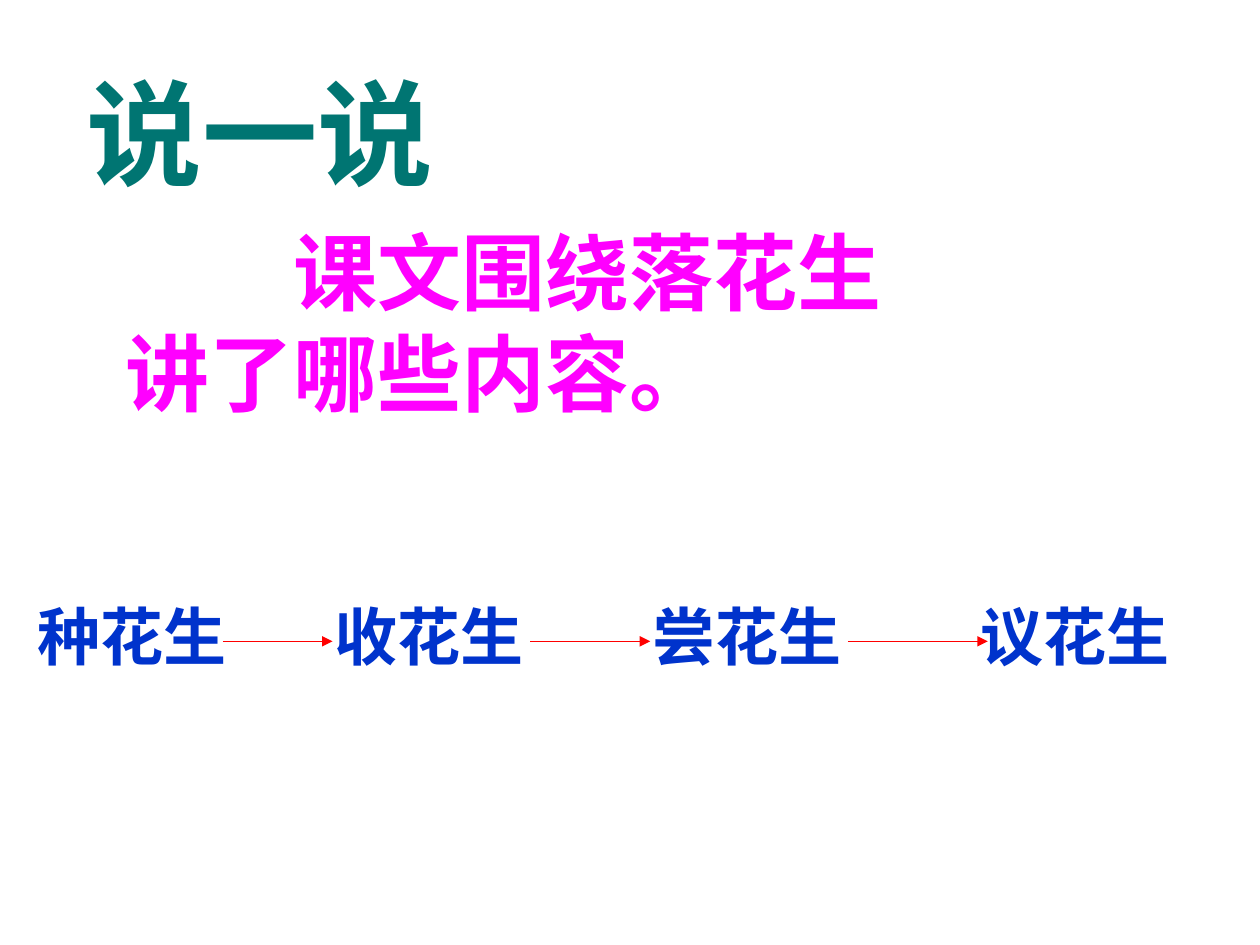
import pptx
import pptx.dml.color
import pptx.enum.shapes
import pptx.enum.text
import pptx.oxml.ns
import pptx.util
from lxml import etree


def color(value):
    return pptx.dml.color.RGBColor.from_string(value)


class Deck:
    """Style and current slide; lengths are in grid units of a tenth of an inch."""
    COLS, ROWS = 100, 75
    FONT = "Arial"
    TEAL, PINK, BLUE, RED = "007572", "FF00FF", "0033CC", "FF0000"

    def __init__(self, prs):
        self.unit = prs.slide_width / self.COLS
        self.s = prs.slides.add_slide(prs.slide_layouts[6])

    def grid(self, *cells):
        return [round(c * self.unit) for c in cells]

    def text(self, left, top, width, height, words, size, fill, indent=0):
        sp = self.s.shapes.add_textbox(*self.grid(left, top, width, height))
        tf = sp.text_frame
        tf.word_wrap = True
        tf.auto_size = pptx.enum.text.MSO_AUTO_SIZE.SHAPE_TO_FIT_TEXT
        p = tf.paragraphs[0]
        if indent:  # first-line indent, counted in characters
            p._p.get_or_add_pPr().set("indent", str(pptx.util.Pt(indent * size)))
        r = p.add_run()
        r.text = words
        r.font.name = self.FONT
        r.font.size = pptx.util.Pt(size)
        r.font.bold = True
        r.font.color.rgb = color(fill)
        etree.SubElement(r._r.get_or_add_rPr(), pptx.oxml.ns.qn("a:ea"),
                         typeface=self.FONT)

    def arrow(self, start, end, row):
        line = self.s.shapes.add_connector(
            pptx.enum.shapes.MSO_CONNECTOR.STRAIGHT,
            *self.grid(start, row, end, row))
        line.line.color.rgb = color(self.RED)
        line.line.width = pptx.util.Pt(0.75)
        etree.SubElement(line.line._get_or_add_ln(),
                         pptx.oxml.ns.qn("a:tailEnd"), type="triangle")
        etree.SubElement(line._element.spPr, pptx.oxml.ns.qn("a:effectLst"))


def main():
    prs = pptx.Presentation()
    prs.slide_width = pptx.util.Inches(10)
    prs.slide_height = pptx.util.Inches(7.5)
    deck = Deck(prs)

    # Question and heading
    deck.text(9, 17, 64.6, 17, "课文围绕落花生讲了哪些内容。", 48, deck.PINK, indent=2)
    deck.text(5.9, 4.4, 32.3, 12, "说一说", 66, deck.TEAL)

    # Sequence of topics
    steps = [("种花生", 2, 19.7), ("收花生", 25.6, 23.6),
             ("尝花生", 50.8, 18.9), ("议花生", 76.8, 18.1)]
    for words, left, width in steps:
        deck.text(left, 46.9, width, 7, words, 36, deck.BLUE)

    # Arrows from one topic to the next
    for start, end in [(17.7, 26.4), (42.1, 51.6), (67.3, 78.4)]:
        deck.arrow(start, end, 50.9)

    prs.save("out.pptx")


if __name__ == "__main__":
    main()
